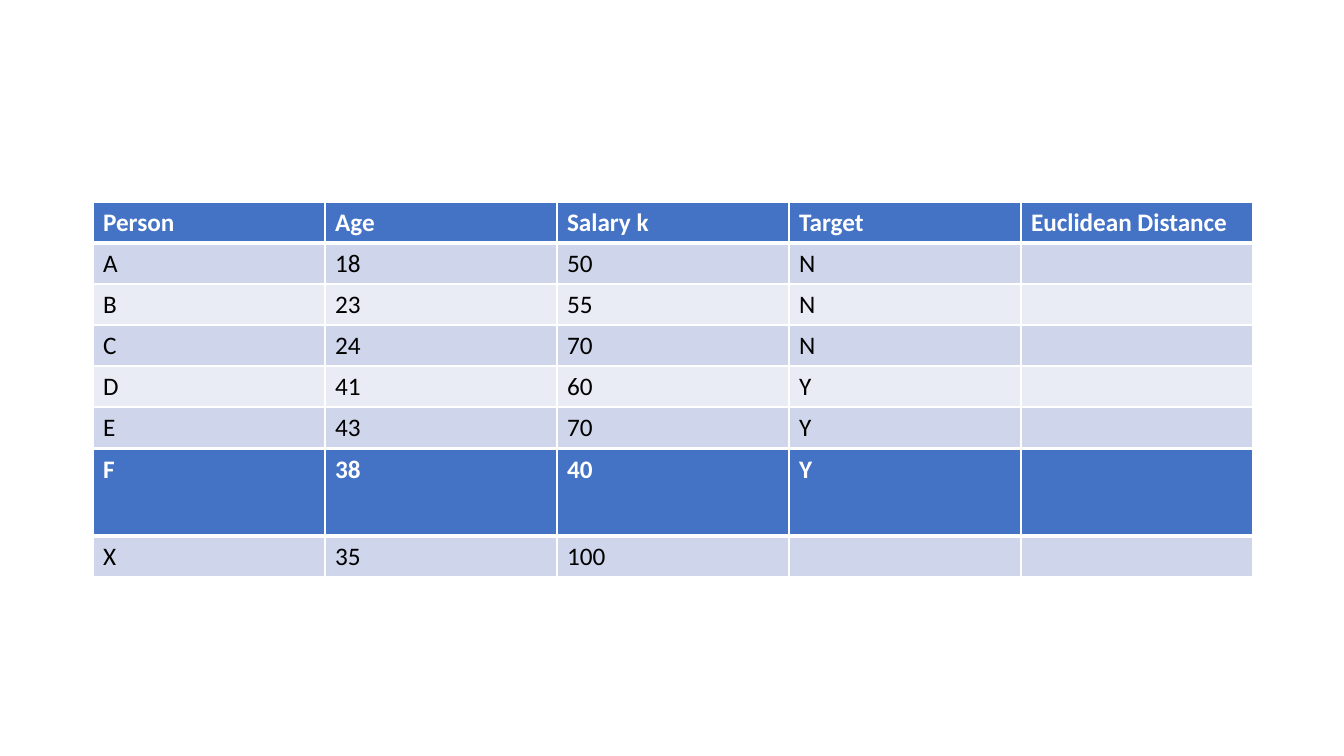
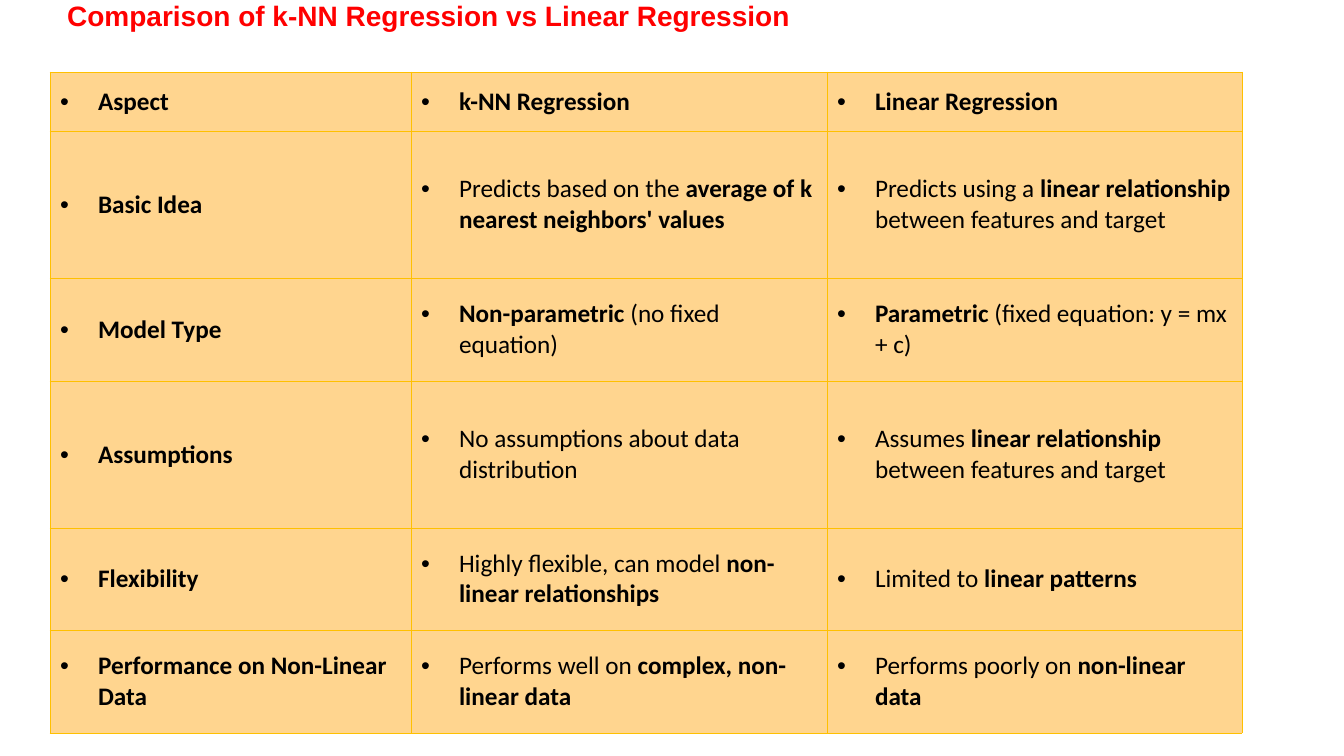
import dataclasses

import lxml.etree
import pptx
import pptx.dml.color
import pptx.enum.text
import pptx.oxml.ns
import pptx.util

EMU_PER_PX = 914400 / 100.8


@dataclasses.dataclass(frozen=True)
class Theme:
    white: str = "FFFFFF"
    black: str = "000000"
    blue: str = "4472C4"
    band_dark: str = "CFD5EA"
    band_light: str = "E9EBF5"
    orange: str = "FFD58F"
    gold: str = "FFC000"
    red: str = "FF0000"
    body_font: str = "Calibri"
    title_font: str = "Arial"
    body_size: int = 18
    title_size: int = 20
    thin: float = 0.5
    line: float = 1
    thick: float = 3


THEME = Theme()


@dataclasses.dataclass(frozen=True)
class RowStyle:
    fill: str
    border: str
    line: float = THEME.line
    bottom: float = THEME.line
    color: str = THEME.black
    bold: bool = False
    bullet: bool = False


HEADER = RowStyle(THEME.blue, THEME.white, bottom=THEME.thick, color=THEME.white, bold=True)
DARK = RowStyle(THEME.band_dark, THEME.white)
LIGHT = RowStyle(THEME.band_light, THEME.white)
COMPARISON = RowStyle(THEME.orange, THEME.gold, line=THEME.thin, bottom=THEME.thin, bullet=True)


def px(length):
    return pptx.util.Emu(round(length * EMU_PER_PX))


def rgb(color):
    return pptx.dml.color.RGBColor.from_string(color)


def write_text(paragraph, text, *, size=THEME.body_size, font=THEME.body_font,
               color=THEME.black, bold=False):
    for index, part in enumerate(text.split("**")):
        if part:
            run = paragraph.add_run()
            run.text = part
            run.font.size = pptx.util.Pt(size)
            run.font.name = font
            run.font.color.rgb = rgb(color)
            run.font.bold = bold or index % 2 == 1


def add_element(parent, tag, **attributes):
    return lxml.etree.SubElement(parent, pptx.oxml.ns.qn(tag), **attributes)


def add_bullet(paragraph, indent=38):
    properties = paragraph._p.get_or_add_pPr()
    properties.set("marL", str(px(indent)))
    properties.set("indent", str(-px(indent)))
    add_element(properties, "a:buFont", typeface=THEME.title_font)
    add_element(properties, "a:buChar", char="•")


def set_borders(cell, color, left, right, top, bottom):
    properties = cell._tc.get_or_add_tcPr()
    widths = {"a:lnL": left, "a:lnR": right, "a:lnT": top, "a:lnB": bottom}
    for tag, width in widths.items():
        line = add_element(properties, tag, w=str(pptx.util.Pt(width)))
        fill = add_element(line, "a:solidFill")
        add_element(fill, "a:srgbClr", val=color)


class Deck:
    def __init__(self, theme):
        self.theme = theme
        self.presentation = pptx.Presentation()
        self.presentation.slide_width = px(1344)
        self.presentation.slide_height = px(756)
        self.slide = None

    def add_slide(self, title=None):
        layout = self.presentation.slide_layouts[5 if title else 6]
        self.slide = self.presentation.slides.add_slide(layout)
        if title:
            self.add_title(title)

    def add_title(self, text):
        shape = self.slide.shapes.title
        shape.left, shape.top, shape.width, shape.height = map(px, (57, -10, 1232, 74))
        shape.fill.solid()
        shape.fill.fore_color.rgb = rgb(self.theme.white)
        frame = shape.text_frame
        frame.word_wrap = True
        frame.auto_size = pptx.enum.text.MSO_AUTO_SIZE.NONE
        frame.vertical_anchor = pptx.enum.text.MSO_ANCHOR.TOP
        frame.margin_top = px(8)
        paragraph = frame.paragraphs[0]
        paragraph.alignment = pptx.enum.text.PP_ALIGN.LEFT
        paragraph.line_spacing = 1.0
        write_text(paragraph, text, size=self.theme.title_size, font=self.theme.title_font,
                   color=self.theme.red, bold=True)

    def add_table(self, left, top, widths, heights, rows, styles):
        table = self.slide.shapes.add_table(
            len(rows), len(widths), px(left), px(top), px(sum(widths)), px(sum(heights))
        ).table
        table.first_row = table.horz_banding = False
        for column, width in zip(table.columns, widths):
            column.width = px(width)
        above = styles[0].line
        for row, height, texts, style in zip(table.rows, heights, rows, styles):
            row.height = px(height)
            for cell, text in zip(row.cells, texts):
                self.fill_cell(cell, text, style, above)
            above = style.bottom

    def fill_cell(self, cell, text, style, above):
        set_borders(cell, style.border, style.line, style.line, above, style.bottom)
        cell.fill.solid()
        cell.fill.fore_color.rgb = rgb(style.fill)
        paragraph = cell.text_frame.paragraphs[0]
        if style.bullet:
            cell.vertical_anchor = pptx.enum.text.MSO_ANCHOR.MIDDLE
            add_bullet(paragraph)
        write_text(paragraph, text, color=style.color, bold=style.bold)


def add_distance_slide(deck):
    deck.add_slide()
    widths = [232] * 5
    people = [
        ("Person", "Age", "Salary k", "Target", "Euclidean Distance"),
        ("A", "18", "50", "N", ""),
        ("B", "23", "55", "N", ""),
        ("C", "24", "70", "N", ""),
        ("D", "41", "60", "Y", ""),
        ("E", "43", "70", "Y", ""),
    ]
    deck.add_table(93, 202, widths, [41] * 6, people, [HEADER, DARK, LIGHT, DARK, LIGHT, DARK])
    last_people = [("F", "38", "40", "Y", ""), ("X", "35", "100", "", "")]
    deck.add_table(93, 449, widths, [87, 41], last_people, [HEADER, DARK])


def add_comparison_slide(deck):
    deck.add_slide("Comparison of k-NN Regression vs Linear Regression")
    rows = [
        ("**Aspect**", "**k-NN Regression**", "**Linear Regression**"),
        ("**Basic Idea**",
         "Predicts based on the **average of k nearest neighbors' values**",
         "Predicts using a **linear relationship** between features and target"),
        ("**Model Type**",
         "**Non-parametric** (no fixed equation)",
         "**Parametric** (fixed equation: y = mx + c)"),
        ("**Assumptions**",
         "No assumptions about data distribution",
         "Assumes **linear relationship** between features and target"),
        ("**Flexibility**",
         "Highly flexible, can model **non-linear relationships**",
         "Limited to **linear patterns**"),
        ("**Performance on Non-Linear Data**",
         "Performs well on **complex, non-linear data**",
         "Performs poorly on **non-linear data**"),
    ]
    deck.add_table(50, 72, [361, 416, 415], [59, 147, 103, 147, 102, 103],
                   rows, [COMPARISON] * len(rows))


def main():
    deck = Deck(THEME)
    add_distance_slide(deck)
    add_comparison_slide(deck)
    deck.presentation.save("out.pptx")


if __name__ == "__main__":
    main()
